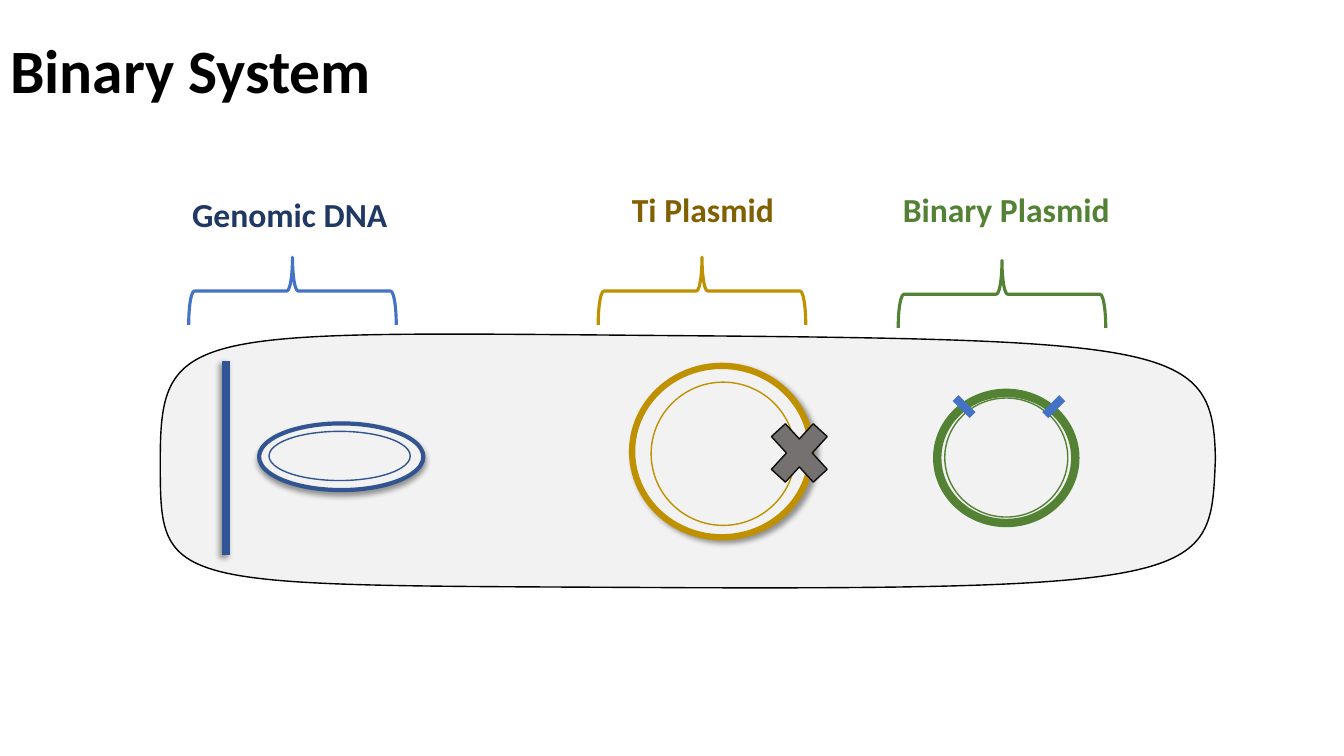
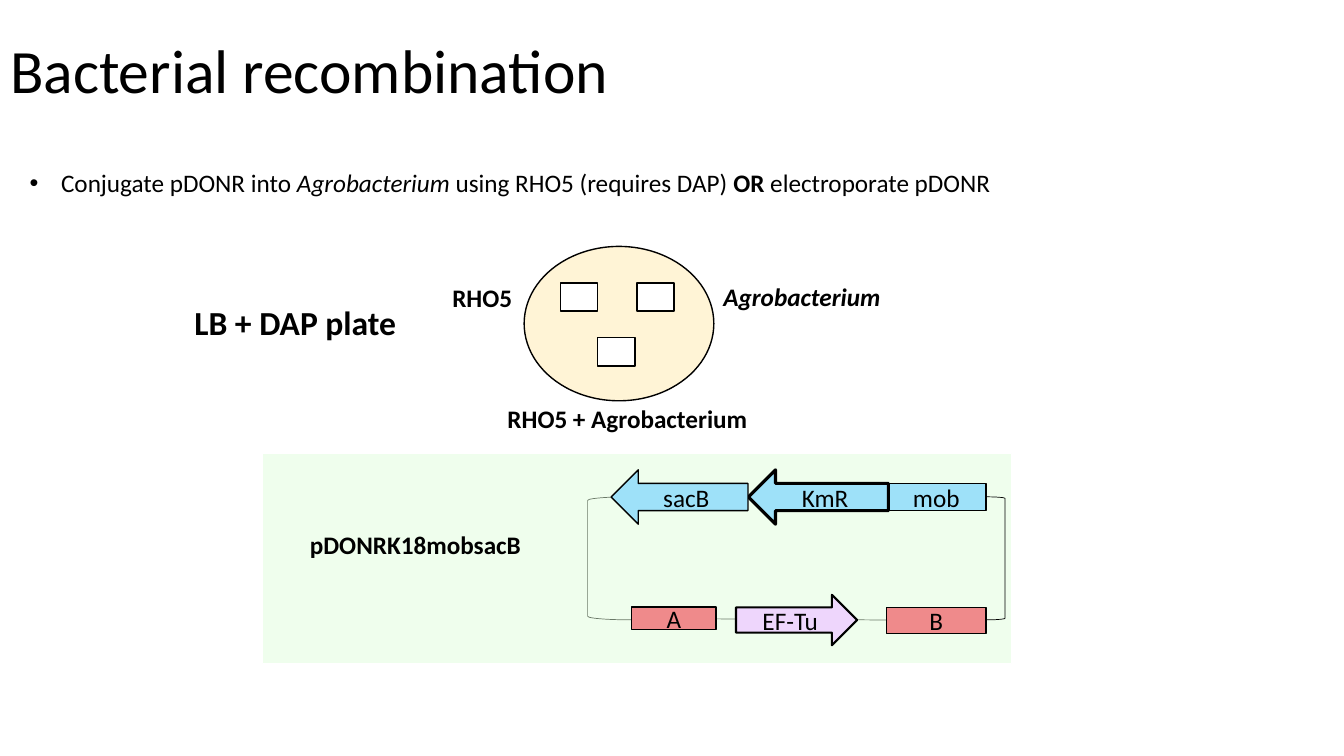
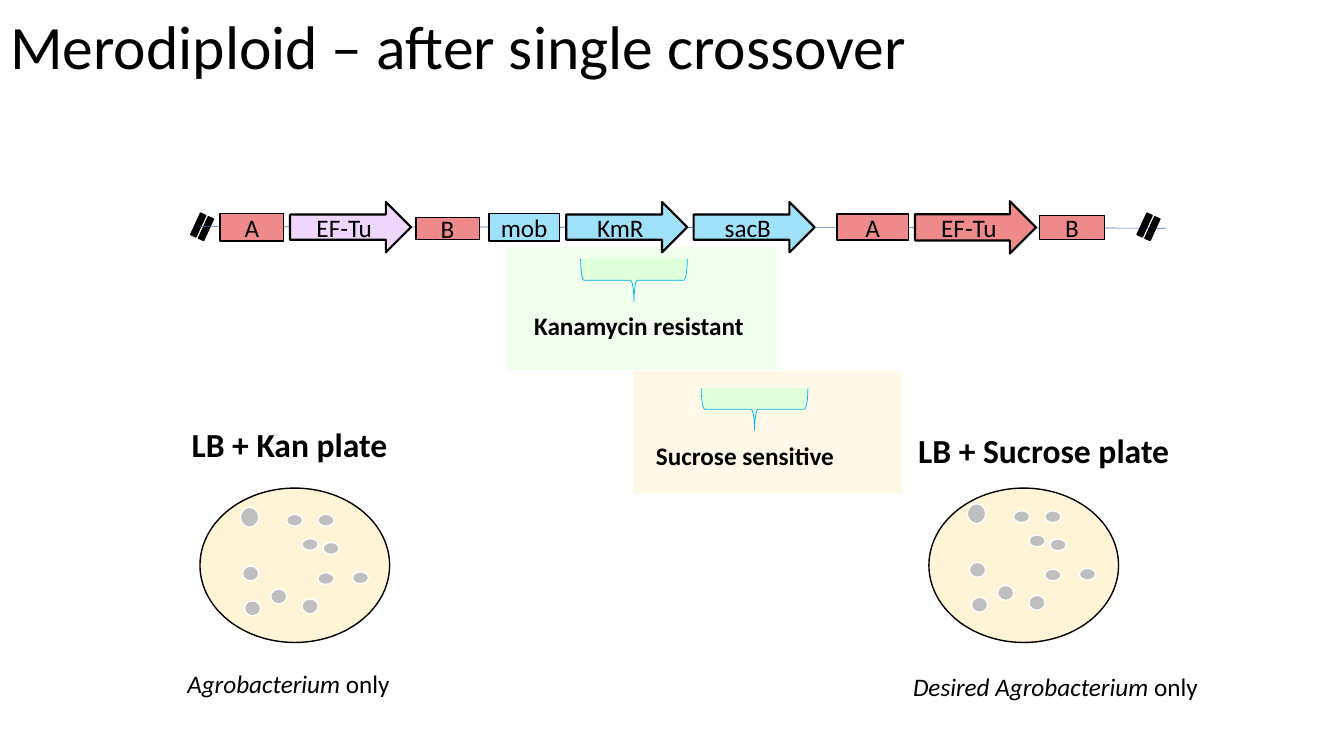
from dataclasses import dataclass
from lxml.etree import SubElement
from pptx import Presentation
from pptx.dml.color import RGBColor
from pptx.enum.shapes import MSO_CONNECTOR, MSO_SHAPE
from pptx.enum.text import MSO_ANCHOR, MSO_AUTO_SIZE, PP_ALIGN
from pptx.oxml.ns import qn
from pptx.util import Cm, Pt


@dataclass(frozen=True)
class Theme:
    font: str = "Calibri"
    title: int = 44
    head: int = 24
    body: int = 18
    black: str = "000000"
    white: str = "FFFFFF"
    cell: str = "F2F2F2"
    navy: str = "203864"
    deep: str = "325491"
    rod: str = "2F5597"
    blue: str = "4472C4"
    sky: str = "00B0F0"
    gold: str = "BF9000"
    brown: str = "806000"
    green: str = "548235"
    gray: str = "767171"
    ink: str = "0D0D0D"
    dot: str = "BFBFBF"
    cream: str = "FFF2CC"
    mint: str = "DFFEDA"
    red: str = "EF8A8B"
    aqua: str = "9EE1F9"
    lilac: str = "EED6FC"


T = Theme()
RECT, OVAL = MSO_SHAPE.RECTANGLE, MSO_SHAPE.OVAL
LEFT, RIGHT = MSO_SHAPE.LEFT_ARROW, MSO_SHAPE.RIGHT_ARROW


def rgb(code):
    return RGBColor.from_string(code)


def style(font, size, color, bold=None, italic=None):
    font.name, font.size = T.font, Pt(size)
    font.bold, font.italic = bold, italic
    font.color.rgb = rgb(color)


def shade(effects, angle):
    cast = SubElement(effects, qn("a:outerShdw"), blurRad=str(Pt(4)), dist=str(Pt(3)),
                      dir=str(angle * 60000), algn="ctr", rotWithShape="0")
    color = SubElement(cast, qn("a:srgbClr"), val=T.black)
    SubElement(color, qn("a:alpha"), val="40000")


def paint(item, fill, line, width, alpha=100, angle=None):
    item.shadow.inherit = False
    if fill:
        item.fill.solid()
        item.fill.fore_color.rgb = rgb(fill)
        if alpha < 100:
            color = item._element.spPr.find(qn("a:solidFill"))[0]
            SubElement(color, qn("a:alpha"), val=str(alpha * 1000))
    else:
        item.fill.background()
    item.line.color.rgb = rgb(line)
    item.line.width = Pt(width)
    if angle is not None:
        shade(item._element.spPr.find(qn("a:effectLst")), angle)


def shape(shapes, kind, box, fill, line=T.black, width=1, turn=0, alpha=100, angle=None):
    item = shapes.add_shape(kind, *map(Cm, box))
    item.rotation = turn
    paint(item, fill, line, width, alpha, angle)
    return item


def stroke(shapes, start, end, color, width, angle=None):
    item = shapes.add_connector(MSO_CONNECTOR.STRAIGHT, *map(Cm, start + end))
    item.line.color.rgb = rgb(color)
    item.line.width = Pt(width)
    effects = SubElement(item._element.spPr, qn("a:effectLst"))
    if angle is not None:
        shade(effects, angle)
    return item


def gene(shapes, kind, text, box, fill, width=1):
    item = shape(shapes, kind, box, fill, width=width)
    frame = item.text_frame
    frame.vertical_anchor = MSO_ANCHOR.MIDDLE
    para = frame.paragraphs[0]
    para.text = text
    para.alignment = PP_ALIGN.CENTER
    style(para.font, T.body, T.black)
    return item


def label(shapes, runs, box, size=T.body, color=T.black, bold=True, italic=None,
          align=PP_ALIGN.LEFT, bullet=False):
    frame = shapes.add_textbox(*map(Cm, box)).text_frame
    frame.word_wrap = True
    frame.auto_size = MSO_AUTO_SIZE.SHAPE_TO_FIT_TEXT
    para = frame.paragraphs[0]
    para.alignment = align
    if bullet:
        props = para._p.get_or_add_pPr()
        props.set("marL", str(Cm(0.79)))
        props.set("indent", str(-Cm(0.79)))
        SubElement(props, qn("a:buFont"), typeface="Arial")
        SubElement(props, qn("a:buChar"), char="•")
    style(para.font, size, color, bold, italic)
    if isinstance(runs, str):
        runs = [(runs, "")]
    for text, mark in runs:
        run = para.add_run()
        run.text = text
        if "b" in mark:
            run.font.bold = True
        if "i" in mark:
            run.font.italic = True


def page(deck, text, width=29.21, height=3.7, bold=False):
    slide = deck.slides.add_slide(deck.slide_layouts[5])
    title = slide.shapes.title
    title.left, title.top, title.width, title.height = map(Cm, (0, 0, width, height))
    frame = title.text_frame
    frame.auto_size = MSO_AUTO_SIZE.NONE
    frame.vertical_anchor = MSO_ANCHOR.MIDDLE
    para = frame.paragraphs[0]
    para.text = text
    para.alignment = PP_ALIGN.LEFT
    para.line_spacing = 0.9
    style(para.font, T.title, T.black, bold)
    return slide.shapes


def cell(shapes):
    left, top, right, base = 4.04, 8.41, 30.63, 14.79
    start = (left, 11.56)
    arcs = [((4.04, 8.18), (4.8, 8.36), (17.25, 8.46)),
            ((29.67, 8.56), (30.58, 8.74), (30.63, 11.56)),
            ((30.51, 14.48), (30.61, 14.86), (17.27, 14.81)),
            ((3.94, 14.73), (4.04, 14.96), start)]
    corners = [(left, top), (right, top), (right, base), start]
    form = shapes.build_freeform(*map(Cm, start))
    form.add_line_segments([tuple(map(Cm, spot)) for spot in corners], close=True)
    item = form.convert_to_shape()
    for side, arc in zip(list(item._element.iter(qn("a:lnTo"))), arcs):
        side.tag = qn("a:cubicBezTo")
        side.remove(side[0])
        for x, y in arc:
            SubElement(side, qn("a:pt"), x=str(Cm(x - left)), y=str(Cm(y - top)))
    paint(item, T.cell, T.black, 1)


def plate(shapes, left, top):
    shape(shapes, OVAL, (left, top, 4.78, 3.89), T.cream, alpha=80)


def colony(shapes, left, top, dx=0, dy=0):
    group = shapes.add_group_shape().shapes
    plate(group, left, top)
    sizes = {
        (0.41, 0.38): [(1.12, 2.84), (1.07, 1.96), (1.78, 2.54), (2.57, 2.79)],
        (0.41, 0.3): [(2.18, 0.66), (2.57, 1.27), (3.1, 1.37), (2.97, 2.13),
                      (3.84, 2.11), (2.97, 0.66)],
        (0.46, 0.51): [(1.02, 0.48)],
    }
    for size, spots in sizes.items():
        for x, y in spots:
            shape(group, OVAL, (left + dx + x, top + dy + y, *size), T.dot, T.white)


def panel(shapes, box, fill):
    shape(shapes, RECT, box, fill, T.white, 0.5, alpha=48)


def trait(shapes, text, fill, back, brace, spot):
    panel(shapes, (*back, 6.81, 3.12), fill)
    label(shapes, text, (*spot, 6.15, 1.02))
    shape(shapes, MSO_SHAPE.RIGHT_BRACE, (*brace, 1.07, 2.69), T.mint, T.sky, 0.5, 90)


def cut(shapes, left):
    shape(shapes, MSO_SHAPE.MATH_EQUAL, (left, 5.41, 0.81, 0.61), T.black, turn=294.6)


def binary(deck):
    shapes = page(deck, "Binary System", bold=True)
    cell(shapes)
    rings = [((6.53, 10.67, 4.14, 1.68), T.deep, 3, 90),
             ((6.78, 10.87, 3.56, 1.24), T.deep, 1, None),
             ((15.93, 9.22, 4.52, 4.32), T.gold, 4.5, 45),
             ((16.41, 9.63, 3.63, 3.61), T.gold, 1, None)]
    for box, color, width, angle in rings:
        shape(shapes, OVAL, box, T.cell, color, width, angle=angle)
    for x, y, color in [(6.52, 4.72, T.blue), (16.84, 4.72, T.gold), (24.4, 4.8, T.green)]:
        shape(shapes, MSO_SHAPE.LEFT_BRACE, (x, y, 1.7, 5.23), None, color, 2.25, 90)
    names = [("Genomic DNA", (4.59, 4.76, 5.54, 2.31), T.navy, PP_ALIGN.LEFT),
             ("Ti Plasmid", (15.39, 4.63, 4.65, 1.27), T.brown, PP_ALIGN.CENTER),
             ("Binary Plasmid", (22.35, 4.63, 6.02, 1.27), T.green, PP_ALIGN.CENTER)]
    for text, box, color, align in names:
        label(shapes, text, box, T.head, color, align=align)
    stroke(shapes, (5.7, 9.09), (5.7, 13.98), T.rod, 6, 135)
    group = shapes.add_group_shape().shapes
    shape(group, OVAL, (23.62, 9.9, 3.48, 3.28), None, T.green, 6)
    shape(group, OVAL, (23.81, 10.03, 3.1, 3), None, T.green)
    for near, far in [(26.77, 26.34), (24.08, 24.51)]:
        stroke(group, (near, 10.03), (far, 10.46), T.blue, 6)
    shape(shapes, MSO_SHAPE.MATH_MULTIPLY, (19.13, 10.31, 2.03, 2.21), T.gray, T.ink)


def recombine(deck):
    shapes = page(deck, "Bacterial recombination")
    label(shapes, [("Conjugate pDONR into ", ""), ("Agrobacterium ", "i"),
                   ("using RHO5 (requires DAP) ", ""), ("OR", "b"),
                   (" electroporate pDONR", "")],
          (0.5, 4.09, 25.43, 1.02), bold=None, bullet=True)
    plate(shapes, 13.21, 6.21)
    for x, y in [(14.12, 7.13), (16.05, 7.13), (15.06, 8.51)]:
        shape(shapes, RECT, (x, y, 0.94, 0.71), T.white)
    label(shapes, "RHO5", (11.15, 6.99, 4.14, 1.02))
    label(shapes, "Agrobacterium", (17.98, 6.97, 5.16, 1.02), italic=True)
    label(shapes, "RHO5 + Agrobacterium", (12.54, 10.03, 8, 1.02))
    label(shapes, "LB + DAP plate", (4.65, 7.49, 5.77, 1.27), T.head)
    base = stroke(shapes, (15.93, 15.6), (24.84, 15.65), T.black, 0.5)
    shape(shapes, MSO_SHAPE.LEFT_BRACKET, (14.81, 12.52, 1.09, 3.1), None, width=0.5)
    panel(shapes, (6.62, 11.43, 18.87, 5.29), T.mint)
    first = gene(shapes, RECT, "A", (15.92, 15.3, 2.13, 0.56), T.red)
    last = gene(shapes, RECT, "B", (22.34, 15.31, 2.51, 0.66), T.red)
    base.begin_connect(first, 1)
    base.end_connect(last, 3)
    gene(shapes, RECT, "mob", (22.34, 12.18, 2.51, 0.69), T.aqua)
    gene(shapes, LEFT, "KmR", (18.86, 11.84, 3.53, 1.37), T.aqua, 2.25)
    gene(shapes, LEFT, "sacB", (15.4, 11.84, 3.45, 1.37), T.aqua)
    gene(shapes, RIGHT, "EF-Tu", (18.55, 14.99, 3.05, 1.27), T.lilac, 1.5)
    shape(shapes, MSO_SHAPE.RIGHT_BRACKET, (24.85, 12.52, 0.48, 3.1), None, width=0.5)
    label(shapes, "pDONRK18mobsacB", (7.56, 13.21, 6.02, 1.02))


def crossover(deck):
    shapes = page(deck, "Merodiploid – after single crossover", 26.59, 2.49)
    trait(shapes, "Kanamycin resistant", T.mint, (12.75, 6.22), (15.44, 5.72), (13.21, 7.7))
    cut(shapes, 4.69)
    stroke(shapes, (5.05, 5.71), (29.39, 5.75), T.blue, 0.5)
    cut(shapes, 28.54)
    boxes = [("A", (5.55, 5.38, 1.6, 0.69), T.red),
             ("B", (10.48, 5.48, 1.6, 0.56), T.red),
             ("mob", (12.32, 5.38, 1.78, 0.69), T.aqua),
             ("A", (21.09, 5.39, 1.8, 0.66), T.red),
             ("B", (26.2, 5.43, 1.63, 0.61), T.red)]
    for text, box, fill in boxes:
        gene(shapes, RECT, text, box, fill)
    arrows = [("EF-Tu", (7.31, 5.09, 3.05, 1.27), T.lilac),
              ("KmR", (14.27, 5.09, 3.05, 1.27), T.aqua),
              ("sacB", (17.48, 5.09, 3.05, 1.27), T.aqua),
              ("EF-Tu", (23.06, 5.07, 3.05, 1.32), T.red)]
    for text, box, fill in arrows:
        gene(shapes, RIGHT, text, box, fill, 1.5)
    label(shapes, "LB + Kan plate", (4.58, 10.55, 5.77, 1.27), T.head)
    label(shapes, [("Agrobacterium", "i"), (" only", "")],
          (4.47, 16.71, 7.09, 1.02), bold=None)
    colony(shapes, 5.04, 12.3)
    trait(shapes, "Sucrose sensitive", T.cream, (15.94, 9.34), (18.48, 8.97), (16.28, 10.97))
    label(shapes, "LB + Sucrose plate", (22.89, 10.72, 7.87, 1.27), T.head)
    label(shapes, [("Desired Agrobacterium", "i"), (" only", "")],
          (22.76, 16.79, 8.81, 1.02), bold=None)
    colony(shapes, 23.41, 12.3, -0.05, -0.09)


def main():
    deck = Presentation()
    deck.slide_width, deck.slide_height = Cm(33.87), Cm(19.05)
    for build in (binary, recombine, crossover):
        build(deck)
    deck.save("out.pptx")


if __name__ == "__main__":
    main()
